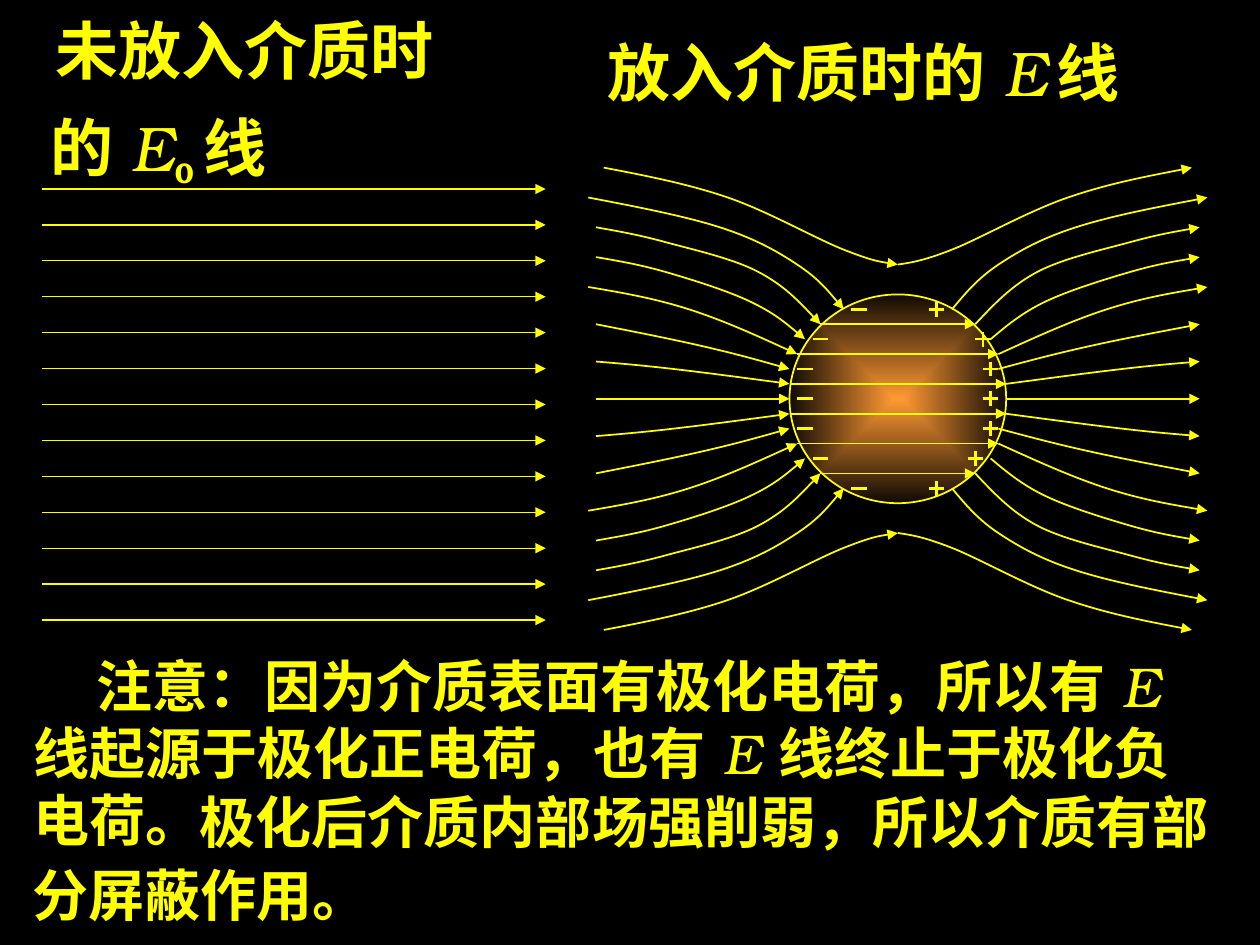
from dataclasses import dataclass

from lxml.etree import SubElement
from pptx import Presentation
from pptx.dml.color import RGBColor
from pptx.enum.lang import MSO_LANGUAGE_ID as Lang
from pptx.enum.shapes import MSO_CONNECTOR as Connector, MSO_SHAPE as Preset
from pptx.enum.text import MSO_AUTO_SIZE as AutoSize
from pptx.oxml.ns import qn
from pptx.util import Cm, Pt

YELLOW = RGBColor(0xFF, 0xFF, 0x00)
BLACK = RGBColor(0x00, 0x00, 0x00)
ORANGE = RGBColor(0xFF, 0x99, 0x33)
DARK_BROWN = RGBColor(0x10, 0x0A, 0x03)
SERIF = "TeX Gyre Bonum"
SANS = "Noto Sans CJK SC"

# The field diagram lies on a grid centred on the sphere; y counts upwards
CENTRE_X, CENTRE_Y = 18.1, 8.04
COLUMN, ROW = 6.24 / 40, 4.66 / 31
RADIUS = 14

Point = tuple[float, float]


@dataclass(frozen=True)
class FieldLine:
    knots: tuple[Point, ...]  # left half, as seen above the axis
    sides: tuple[int, ...] = (1, -1)


@dataclass(frozen=True)
class Run:
    text: str
    italic: bool = False
    subscript: bool = False


FIELD_LINES = (
    FieldLine(((-38, 31), (-22, 27), (-7, 20), (0, 18))),
    FieldLine(((-40, 27), (-23, 23), (-13, 18), (-7, 12))),
    FieldLine(((-39, 23), (-30, 21), (-18, 17), (-10, 10))),
    FieldLine(((-39, 19), (-30, 17), (-19, 13), (-12, 8))),
    FieldLine(((-40, 15), (-27, 12), (-13, 6))),
    FieldLine(((-39, 10), (-25, 7), (-14, 4)), sides=(1,)),
    FieldLine(((-39, 10), (-24.5, 7), (-13, 4)), sides=(-1,)),
    FieldLine(((-39, 5), (-29, 4), (-14, 2))),
)
INNER_LINES = ((10, 10), (13, 6), (14, 2))  # half length, height
NEGATIVE = ((-5, 12), (-10, 8), (-12, 4), (-12, 0), (-12, -4), (-10, -8), (-5, -12))
POSITIVE = ((5, 12), (11, 8), (12, 4), (12, 0), (12, -4), (10, -8), (5, -12))

prs = Presentation()
prs.slide_width, prs.slide_height = Cm(25.4), Cm(19.05)
slide = prs.slides.add_slide(prs.slide_layouts[6])
slide.background.fill.solid()
slide.background.fill.fore_color.rgb = BLACK


def grid(point: Point) -> Point:
    """Turn a grid point into centimetres on the slide."""
    return CENTRE_X + point[0] * COLUMN, CENTRE_Y - point[1] * ROW


def style_line(shape, width: float, arrow: bool) -> None:
    shape.line.color.rgb = YELLOW
    shape.line.width = Pt(width)
    if arrow:
        outline = shape._element.spPr.find(qn("a:ln"))
        SubElement(outline, qn("a:tailEnd"), type="triangle")


def draw_straight(start: Point, end: Point, width: float = 1, arrow: bool = True) -> None:
    ends = [Cm(v) for v in (*start, *end)]
    line = slide.shapes.add_connector(Connector.STRAIGHT, *ends)
    style_line(line, width, arrow)
    SubElement(line._element.spPr, qn("a:effectLst"))


def bezier_points(knots: list[Point]) -> list[Point]:
    """Smooth spline: inner tangents are a sixth of the chord of the neighbours."""
    def blend(a: Point, b: Point, share: float) -> Point:
        return a[0] + (b[0] - a[0]) * share, a[1] + (b[1] - a[1]) * share

    def handle(i: int, sign: int) -> Point:
        (x0, y0), (x, y), (x1, y1) = knots[i - 1:i + 2]
        return x + sign * (x1 - x0) / 6, y + sign * (y1 - y0) / 6

    last = len(knots) - 1
    points = [knots[0]]
    for i in range(last):
        leave = handle(i, 1) if i > 0 else blend(knots[0], handle(1, -1), 0.5)
        arrive = handle(i + 1, -1) if i + 1 < last else blend(knots[last], leave, 0.5)
        points += [leave, arrive, knots[i + 1]]
    return points


def draw_curve(knots: list[Point]) -> None:
    points = [tuple(Cm(v) for v in grid(p)) for p in bezier_points(knots)]
    builder = slide.shapes.build_freeform(*points[0], scale=1.0)
    builder.add_line_segments(points[1:], close=False)
    curve = builder.convert_to_shape()
    curve.shadow.inherit = False
    curve.fill.background()
    style_line(curve, 1, True)
    # Every three segments become one cubic curve
    outline = curve._element.spPr.find(".//" + qn("a:path"))
    segments = outline.findall(qn("a:lnTo"))
    for i in range(0, len(segments), 3):
        cubic = SubElement(outline, qn("a:cubicBezTo"))
        for segment in segments[i:i + 3]:
            cubic.append(segment[0])
            outline.remove(segment)


def draw_sphere() -> None:
    left, top = grid((-RADIUS, RADIUS))
    size = (2 * RADIUS * COLUMN, 2 * RADIUS * ROW)
    sphere = slide.shapes.add_shape(Preset.OVAL, *map(Cm, (left, top, *size)))
    sphere.shadow.inherit = False
    style_line(sphere, 1, False)
    sphere.fill.background()
    properties = sphere._element.spPr
    gradient = SubElement(properties, qn("a:gradFill"), rotWithShape="1")
    stops = SubElement(gradient, qn("a:gsLst"))
    for position, color in ((0, ORANGE), (100000, DARK_BROWN)):
        stop = SubElement(stops, qn("a:gs"), pos=str(position))
        SubElement(stop, qn("a:srgbClr"), val=str(color))
    shade = SubElement(gradient, qn("a:path"), path="rect")
    SubElement(shade, qn("a:fillToRect"), l="50000", t="50000", r="50000", b="50000")
    properties.replace(properties.find(qn("a:noFill")), gradient)


def draw_charge(x: float, y: float, positive: bool) -> None:
    draw_straight(grid((x - 1, y)), grid((x + 1, y)), 1.5, False)
    if positive:
        draw_straight(grid((x, y + 1)), grid((x, y - 1)), 1.5, False)


def add_text(left: float, top: float, width: float, height: float, *paragraphs: list[Run],
             size: int = 32, font: str = SERIF, spacing: float = 1.0,
             wrap: bool = False, indent: float = 0) -> None:
    frame = slide.shapes.add_textbox(*map(Cm, (left, top, width, height))).text_frame
    frame.word_wrap = wrap
    frame.auto_size = AutoSize.SHAPE_TO_FIT_TEXT
    for i, runs in enumerate(paragraphs):
        paragraph = frame.add_paragraph() if i else frame.paragraphs[0]
        paragraph.line_spacing = spacing
        if indent and i == 0:
            paragraph._p.get_or_add_pPr().set("indent", str(Cm(indent)))
        for part in runs:
            run = paragraph.add_run()
            run.text = part.text
            run.font.size = Pt(28 if part.subscript else size)
            run.font.name = font
            run.font.bold = not part.italic
            run.font.italic = part.italic
            run.font.color.rgb = YELLOW
            run.font.language_id = Lang.SIMPLIFIED_CHINESE
            properties = run.font._element
            SubElement(properties, qn("a:ea"), typeface=SERIF)
            if part.subscript:
                properties.set("baseline", "-25000")


# Field with the dielectric sphere
draw_sphere()
for side in (-1, 1):
    draw_straight(*(grid(p) for p in sorted([(side * 39, 0), (side * RADIUS, 0)])))
for half, height in INNER_LINES:
    for y in (height, -height):
        draw_straight(grid((-half, y)), grid((half, y)))
for field_line in FIELD_LINES:
    for side in field_line.sides:
        for flip in (1, -1):
            draw_curve(sorted((side * x, flip * y) for x, y in field_line.knots))

# Polarisation charges
for charges, positive in ((NEGATIVE, False), (POSITIVE, True)):
    for x, y in charges:
        draw_charge(x, y, positive)

# Uniform field without the dielectric
for i in range(13):
    y = 3.81 + i * 8.69 / 12
    draw_straight((0.84, y), (11, y), 0.75)

# Headings, with room to stay on one line
E = Run(" E", italic=True)
add_text(11.99, 0.56, 12, 1.88,
         [Run("放入介质时的"), E, Run(" ", subscript=True), Run("线")],
         size=36, wrap=True)
add_text(0.86, -0.2, 8.13, 2.08, [Run("未放入介质时")], size=36, spacing=1.2)
add_text(0.76, 1.73, 6, 2.21,
         [Run("的"), E, Run("0 ", subscript=True), Run("线")],
         size=36, spacing=1.2, wrap=True)

# Note
add_text(0.43, 13, 24.33, 4.32,
         [Run("注意：因为介质表面有极化电荷，所以有"), E],
         [Run("线起源于极化正电荷，也有"), Run(" E ", italic=True),
          Run("线终止于极化负电荷。")], wrap=True, indent=1.27)
add_text(3.78, 15.75, 20.85, 1.63, [Run("极化后介质内部场强削弱，所以介质有部")], font=SANS)
add_text(0.41, 17.22, 7.29, 1.63, [Run("分屏蔽作用。")], font=SANS)

prs.save("out.pptx")
